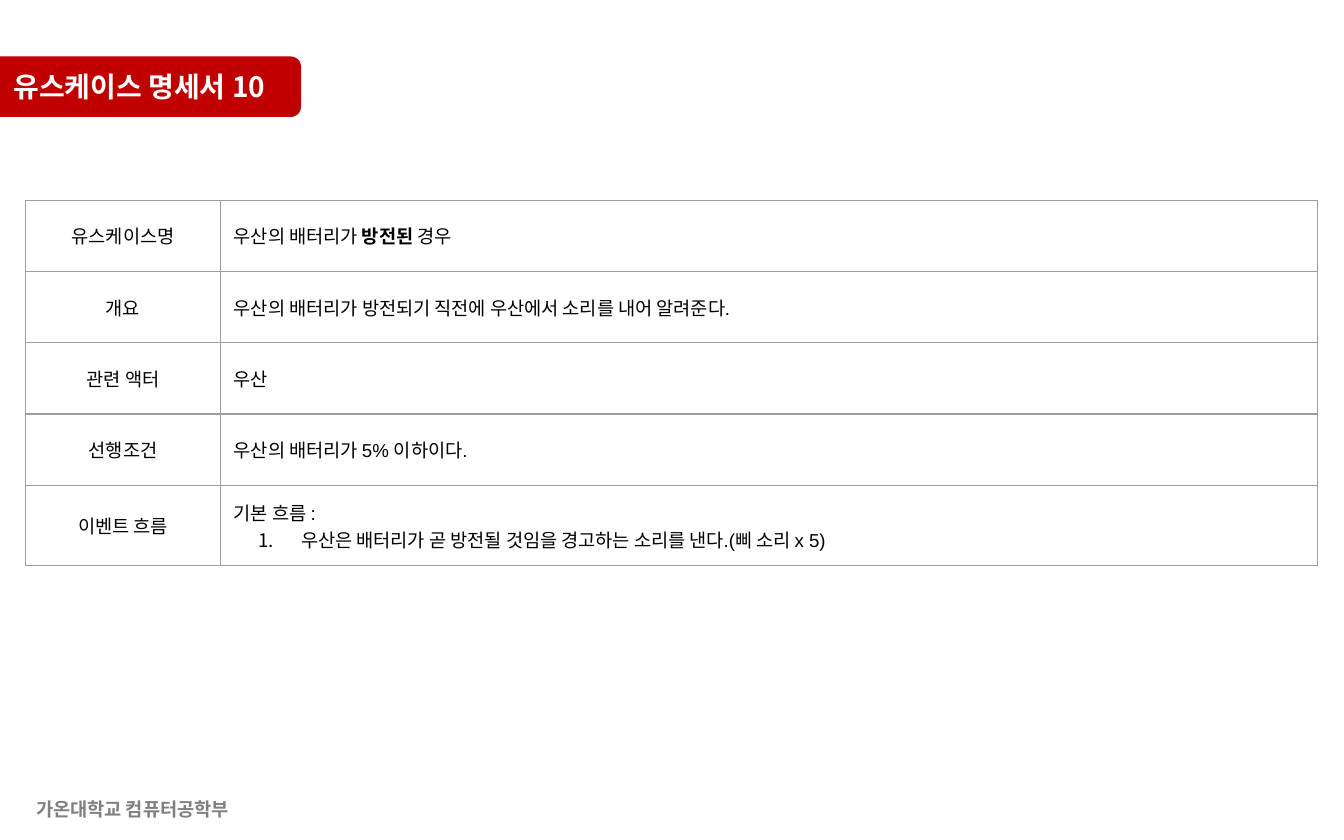
from dataclasses import dataclass

from lxml import etree
from pptx import Presentation
from pptx.dml.color import RGBColor
from pptx.enum import shapes, text
from pptx.oxml import ns
from pptx.slide import Slide
from pptx.util import Inches, Pt

RED = RGBColor(0xC0, 0x00, 0x00)
WHITE = RGBColor(0xFF, 0xFF, 0xFF)
BLACK = RGBColor(0x00, 0x00, 0x00)
GRAY = RGBColor(0x7F, 0x7F, 0x7F)
BORDER = RGBColor(0x9E, 0x9E, 0x9E)
KOREAN_FONT = "Noto Sans CJK KR"
LATIN_FONT = "Arial"

SPEC_ROWS = [
    ("유스케이스명", ["우산의 배터리가 ", ("방전된 ", True), "경우"]),
    ("개요", ["우산의 배터리가 방전되기 직전에 우산에서 소리를 내어 알려준다."]),
    ("관련 액터", ["우산"]),
    ("선행조건", ["우산의 배터리가 5% 이하이다."]),
    ("이벤트 흐름", ["기본 흐름 :"]),
]
FLOW_STEPS = ["우산은 배터리가 곧 방전될 것임을 경고하는 소리를 낸다.(삐 소리 x 5)"]


def add_child(parent, tag, **attributes):
    return etree.SubElement(parent, ns.qn(tag), attributes)


def write(paragraph, pieces, size=10, color=BLACK, font=LATIN_FONT,
          bold=False, align=text.PP_ALIGN.LEFT):
    """Add runs; a piece is a string or a (string, bold) pair."""
    paragraph.alignment = align
    for piece in pieces:
        words, heavy = (piece, bold) if isinstance(piece, str) else piece
        run = paragraph.add_run()
        run.text = words
        run.font.size, run.font.bold = Pt(size), heavy
        run.font.color.rgb = color
        run.font.name = font
        add_child(run.font._element, "a:ea", typeface=KOREAN_FONT)


def number(paragraph):
    """Give the paragraph an automatic number with a hanging indent."""
    properties = paragraph._p.get_or_add_pPr()
    properties.set("marL", str(Inches(0.5)))
    properties.set("indent", str(Inches(-0.32)))
    color = add_child(properties, "a:buClr")
    add_child(color, "a:srgbClr", val=str(BLACK))
    add_child(properties, "a:buFont", typeface=KOREAN_FONT)
    add_child(properties, "a:buAutoNum", type="arabicPeriod")


def outline(cell):
    properties = cell._tc.get_or_add_tcPr()
    for position, side in enumerate("LRTB"):
        line = etree.Element(ns.qn("a:ln" + side), w=str(Pt(0.75)))
        fill = add_child(line, "a:solidFill")
        add_child(fill, "a:srgbClr", val=str(BORDER))
        properties.insert(position, line)


def set_frame(frame, margin_x, margin_y):
    frame.word_wrap = True
    frame.auto_size = text.MSO_AUTO_SIZE.NONE
    frame.vertical_anchor = text.MSO_ANCHOR.TOP
    frame.margin_left = frame.margin_right = Inches(margin_x)
    frame.margin_top = frame.margin_bottom = Inches(margin_y)


@dataclass
class SpecSlide:
    slide: Slide
    margin: float = 0.1

    def badge(self, left, top, width, height):
        tab = self.slide.shapes.add_shape(
            shapes.MSO_SHAPE.ROUNDED_RECTANGLE,
            Inches(left), Inches(top), Inches(width), Inches(height))
        tab.shadow.inherit = False
        tab.fill.solid()
        tab.fill.fore_color.rgb = RED
        tab.line.fill.background()

    def title(self, words, left, top, width, height):
        """Place the title in front of everything drawn so far."""
        heading = self.slide.shapes.title
        heading.left, heading.top = Inches(left), Inches(top)
        heading.width, heading.height = Inches(width), Inches(height)
        set_frame(heading.text_frame, self.margin, self.margin)
        write(heading.text_frame.paragraphs[0], [words], size=15,
              color=WHITE, font=KOREAN_FONT, bold=True)
        self.slide.shapes._spTree.append(heading._element)

    def footer(self, words, left, top, width, height):
        box = self.slide.shapes.add_textbox(
            Inches(left), Inches(top), Inches(width), Inches(height))
        set_frame(box.text_frame, self.margin, 0.05)
        write(box.text_frame.paragraphs[0], [words], color=GRAY,
              font=KOREAN_FONT, bold=True, align=text.PP_ALIGN.CENTER)

    def cell(self, cell, pieces, **style):
        cell.fill.background()
        outline(cell)
        cell.vertical_anchor = text.MSO_ANCHOR.MIDDLE
        cell.margin_left = cell.margin_right = Inches(self.margin)
        cell.margin_top = cell.margin_bottom = Inches(self.margin)
        write(cell.text_frame.paragraphs[0], pieces, **style)

    def table(self, rows, steps, left, top, column_widths, row_height):
        table = self.slide.shapes.add_table(
            len(rows), len(column_widths), Inches(left), Inches(top),
            Inches(sum(column_widths)), Inches(row_height * len(rows))).table
        table.first_row = table.horz_banding = False
        for column, width in zip(table.columns, column_widths):
            column.width = Inches(width)
        for row, (label, content) in zip(table.rows, rows):
            row.height = Inches(row_height)
            self.cell(row.cells[0], [label], align=text.PP_ALIGN.CENTER)
            self.cell(row.cells[1], content)
        flow = table.cell(len(rows) - 1, 1).text_frame
        for step in steps:
            paragraph = flow.add_paragraph()
            write(paragraph, [step])
            number(paragraph)


def main():
    deck = Presentation()
    deck.slide_width, deck.slide_height = Inches(10), Inches(6.25)
    page = SpecSlide(deck.slides.add_slide(deck.slide_layouts[5]))
    page.footer("가온대학교 컴퓨터공학부", 0, 5.89, 1.97, 0.27)
    page.table(SPEC_ROWS, FLOW_STEPS, 0.19, 1.49, (1.45, 8.16), 0.53)
    page.badge(-0.16, 0.42, 2.4, 0.45)
    page.title("유스케이스 명세서 10", 0, 0.42, 2.53, 0.27)
    deck.save("out.pptx")


if __name__ == "__main__":
    main()
